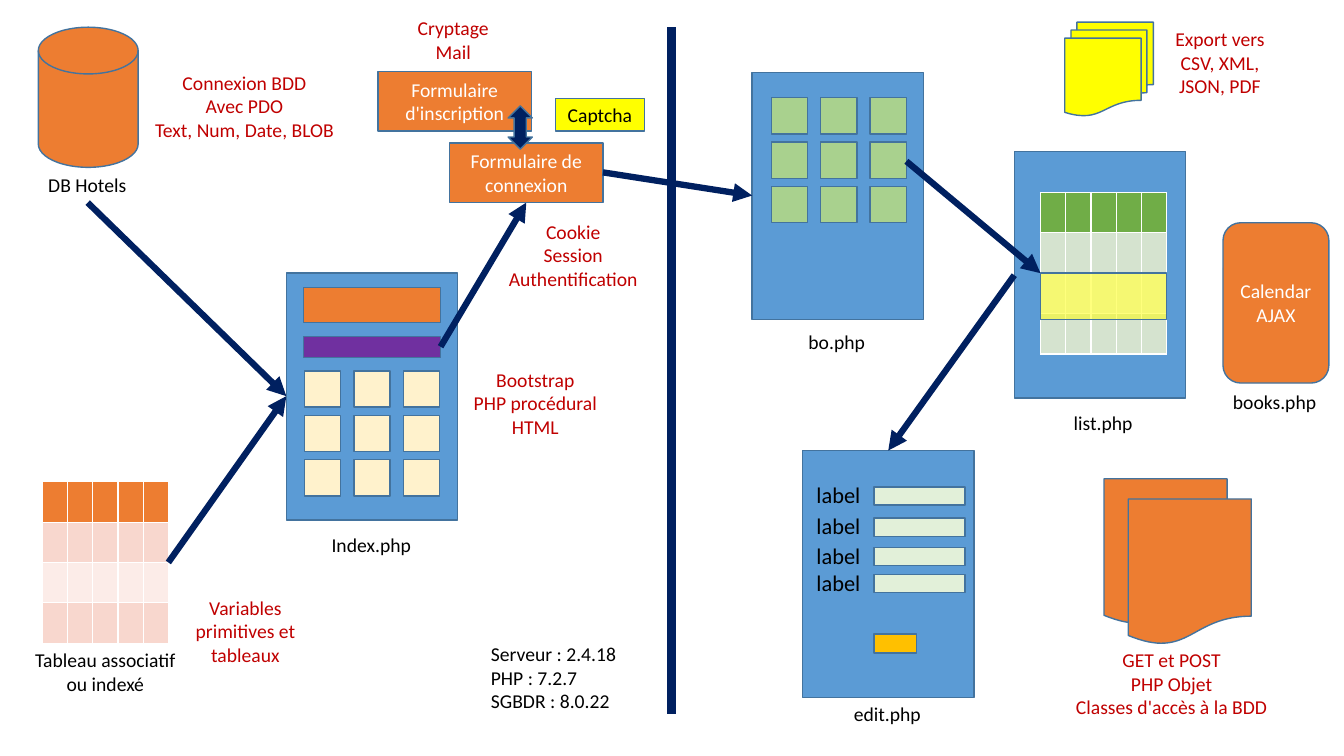
from dataclasses import dataclass
from functools import singledispatch
from typing import Optional

from lxml.etree import SubElement
from pptx import Presentation
from pptx.dml.color import RGBColor as RGB
from pptx.enum.shapes import MSO_CONNECTOR as CONN, MSO_SHAPE as SHAPE
from pptx.enum.text import MSO_ANCHOR as ANCHOR, MSO_AUTO_SIZE as AUTO, PP_ALIGN as ALIGN
from pptx.oxml.ns import qn
from pptx.text.text import TextFrame
from pptx.util import Inches, Pt

COLS, ROWS = 133.3, 75
FONT = "Calibri"
COLORS = {
    "orange": "ED7D31", "blue": "5B9BD5", "outline": "43739E", "navy": "002060",
    "purple": "7030A0", "cream": "FFF2CC", "sage": "A9D18E", "mint": "E2F0D9",
    "yellow": "FFFF00", "gold": "FFC000", "red": "C00000", "black": "000000",
    "white": "FFFFFF", "green": "70AD47", "pink": "F8D7CE", "pale pink": "FCECE8",
    "grey green": "D5E3CF", "pale green": "EBF1E9",
}

prs = Presentation()
prs.slide_width, prs.slide_height = Inches(13.33), Inches(7.5)
slide = prs.slides.add_slide(prs.slide_layouts[6])


@dataclass
class Box:
    x: float
    y: float
    w: float
    h: float
    fill: str
    text: str = ""
    color: str = "white"
    kind: SHAPE = SHAPE.RECTANGLE
    opacity: Optional[int] = None


@dataclass
class Note:
    x: float
    y: float
    w: float
    h: float
    text: str
    color: str = "red"
    align: ALIGN = ALIGN.CENTER
    size: int = 14
    wrap: bool = False


@dataclass
class Line:
    x1: float
    y1: float
    x2: float
    y2: float
    width: float = 4.5
    arrow: bool = True


@dataclass
class Table:
    x: float
    y: float
    row_fills: tuple[str, ...]
    columns: int = 5
    cell_w: float = 2.5
    cell_h: float = 4


def col(n: float) -> int:
    return round(prs.slide_width * n / COLS)


def row(n: float) -> int:
    return round(prs.slide_height * n / ROWS)


def rgb(name: str) -> RGB:
    return RGB.from_string(COLORS[name])


def write(tf: TextFrame, text: str, color: str, align: ALIGN, size: int = 14) -> None:
    tf.text = text
    for p in tf.paragraphs:
        p.alignment = align
        p.font.name, p.font.size = FONT, Pt(size)
        p.font.color.rgb = rgb(color)


@singledispatch
def draw(item) -> None:
    raise TypeError(item)


@draw.register
def draw_box(b: Box) -> None:
    sp = slide.shapes.add_shape(b.kind, col(b.x), row(b.y), col(b.w), row(b.h))
    sp.shadow.inherit = False
    sp.fill.solid()
    sp.fill.fore_color.rgb = rgb(b.fill)
    sp.line.color.rgb, sp.line.width = rgb("outline"), Pt(1)
    if b.opacity is not None:
        clr = sp._element.spPr.find(qn("a:solidFill")).find(qn("a:srgbClr"))
        SubElement(clr, qn("a:alpha"), val=str(b.opacity * 1000))
    if b.text:
        sp.text_frame.word_wrap = True
        sp.text_frame.vertical_anchor = ANCHOR.MIDDLE
        write(sp.text_frame, b.text, b.color, ALIGN.CENTER)


@draw.register
def draw_note(n: Note) -> None:
    tf = slide.shapes.add_textbox(col(n.x), row(n.y), col(n.w), row(n.h)).text_frame
    tf.word_wrap = n.wrap
    tf.auto_size = AUTO.SHAPE_TO_FIT_TEXT
    write(tf, n.text, n.color, n.align, n.size)


@draw.register
def draw_line(n: Line) -> None:
    ln = slide.shapes.add_connector(CONN.STRAIGHT, col(n.x1), row(n.y1), col(n.x2), row(n.y2))
    ln.line.color.rgb, ln.line.width = rgb("navy"), Pt(n.width)
    if n.arrow:
        SubElement(ln.line._get_or_add_ln(), qn("a:tailEnd"), type="triangle")
    SubElement(ln._element.spPr, qn("a:effectLst"))


@draw.register
def draw_table(t: Table) -> None:
    count = len(t.row_fills)
    table = slide.shapes.add_table(count, t.columns, col(t.x), row(t.y),
                                   col(t.columns * t.cell_w), row(count * t.cell_h)).table
    for column in table.columns:
        column.width = col(t.cell_w)
    for table_row, name in zip(table.rows, t.row_fills):
        table_row.height = row(t.cell_h)
        for cell in table_row.cells:
            cell.fill.solid()
            cell.fill.fore_color.rgb = rgb(name)


def page(x: float, y: float) -> Box:
    return Box(x, y, 17, 24.5, "blue")


def caption(x: float, y: float, w: float, text: str) -> Note:
    return Note(x, y, w, 3.4, text, "black", ALIGN.LEFT)


def tiles(x: float, y: float, fill: str) -> list[Box]:
    return [Box(x + 4.9 * i, y + 4.4 * j, 3.6, 3.6, fill) for j in range(3) for i in range(3)]


def fields(tops: tuple[float, ...]) -> list:
    return [item for y in tops for item in (
        Box(86.7, y, 9, 1.8, "mint"),
        Note(80, y - 1.05, 6.4, 3.7, "label", "black", ALIGN.LEFT, 16))]


scene = [
    Box(3.8, 2.7, 9.9, 13.9, "orange", kind=SHAPE.FLOWCHART_MAGNETIC_DISK),
    caption(3.8, 16.7, 9.9, "DB Hotels"),
    Line(8.7, 20.1, 28.4, 39.3),
    Table(4.2, 47.8, ("orange", "pink", "pale pink", "pink")),
    Line(16.7, 55.8, 28.4, 39.3),
    Note(2.4, 63.8, 16.1, 5.7, "Tableau associatif\nou indexé", "black"),
    page(28.4, 27.1),
    caption(31.9, 52.4, 10, "Index.php"),
    Box(30.1, 28.5, 13.6, 3.5, "orange"),
    *tiles(30.2, 36.8, "cream"),
    Box(30.1, 33.4, 13.6, 2.1, "purple"),
    Line(43.7, 34.4, 52.2, 20.1),
    Box(44.6, 14.2, 15.2, 5.9, "orange", "Formulaire de connexion"),
    Line(66.6, 2.7, 66.6, 70.8, 6, False),
    page(74.6, 7.2),
    caption(79.2, 32.2, 7.7, "bo.php"),
    *tiles(76.5, 9.7, "sage"),
    Line(59.8, 17.1, 74.6, 19.4),
    page(100.6, 15),
    Table(103.2, 19.1, ("green", "grey green", "pale green", "grey green")),
    caption(105.5, 40.3, 7.9, "list.php"),
    Line(89.9, 16, 103.2, 27.1),
    Box(103.2, 27.1, 12.5, 4.6, "yellow", opacity=51),
    page(79.6, 44.7),
    caption(83.7, 69.1, 8.8, "edit.php"),
    *fields((48.3, 51.4, 54.3, 57)),
    Box(86.7, 62.9, 4.2, 1.9, "gold"),
    Line(100.6, 27.3, 88.1, 44.7),
    Note(14.3, 6.5, 19.9, 8.1, "Connexion BDD\nAvec PDO\nText, Num, Date, BLOB"),
    Note(18.1, 58.6, 12.5, 8.1, "Variables primitives et tableaux", wrap=True),
    Note(45.9, 36, 14.4, 8.1, "Bootstrap\nPHP procédural\nHTML"),
    Box(37.5, 7.1, 15.2, 5.9, "orange", "Formulaire d'inscription"),
    Note(38.7, 1.1, 12.5, 5.7, "Cryptage\nMail", wrap=True),
    Note(48.9, 21.3, 15.9, 8.1, "Cookie\nSession\nAuthentification", wrap=True),
    Box(50.4, 10.5, 2.4, 4.3, "navy", kind=SHAPE.UP_DOWN_ARROW),
    Note(105.6, 63.8, 21.2, 8.1, "GET et POST\nPHP Objet\nClasses d'accès à la BDD"),
    *(Box(x, y, 12.2, 14.5, "orange", kind=SHAPE.FLOWCHART_DOCUMENT)
      for x, y in ((109.5, 47.5), (111.9, 49.5))),
    Box(105.6, 2.2, 8.8, 9.3, "yellow", kind=SHAPE.FLOWCHART_MULTIDOCUMENT),
    Note(113.9, 2.2, 14.2, 8.2, "Export vers CSV, XML, JSON, PDF", wrap=True),
    Box(55.1, 9.8, 8.8, 3.2, "yellow", "Captcha", "black"),
    Box(121.3, 22.1, 10.5, 15.9, "orange", "Calendar\nAJAX", kind=SHAPE.ROUNDED_RECTANGLE),
    caption(121.3, 38.2, 10.4, "books.php"),
    Note(47.7, 63.2, 18.5, 8.1, "Serveur : 2.4.18\nPHP : 7.2.7\nSGBDR : 8.0.22",
         "black", ALIGN.LEFT, wrap=True),
]

for item in scene:
    draw(item)

prs.save("out.pptx")
